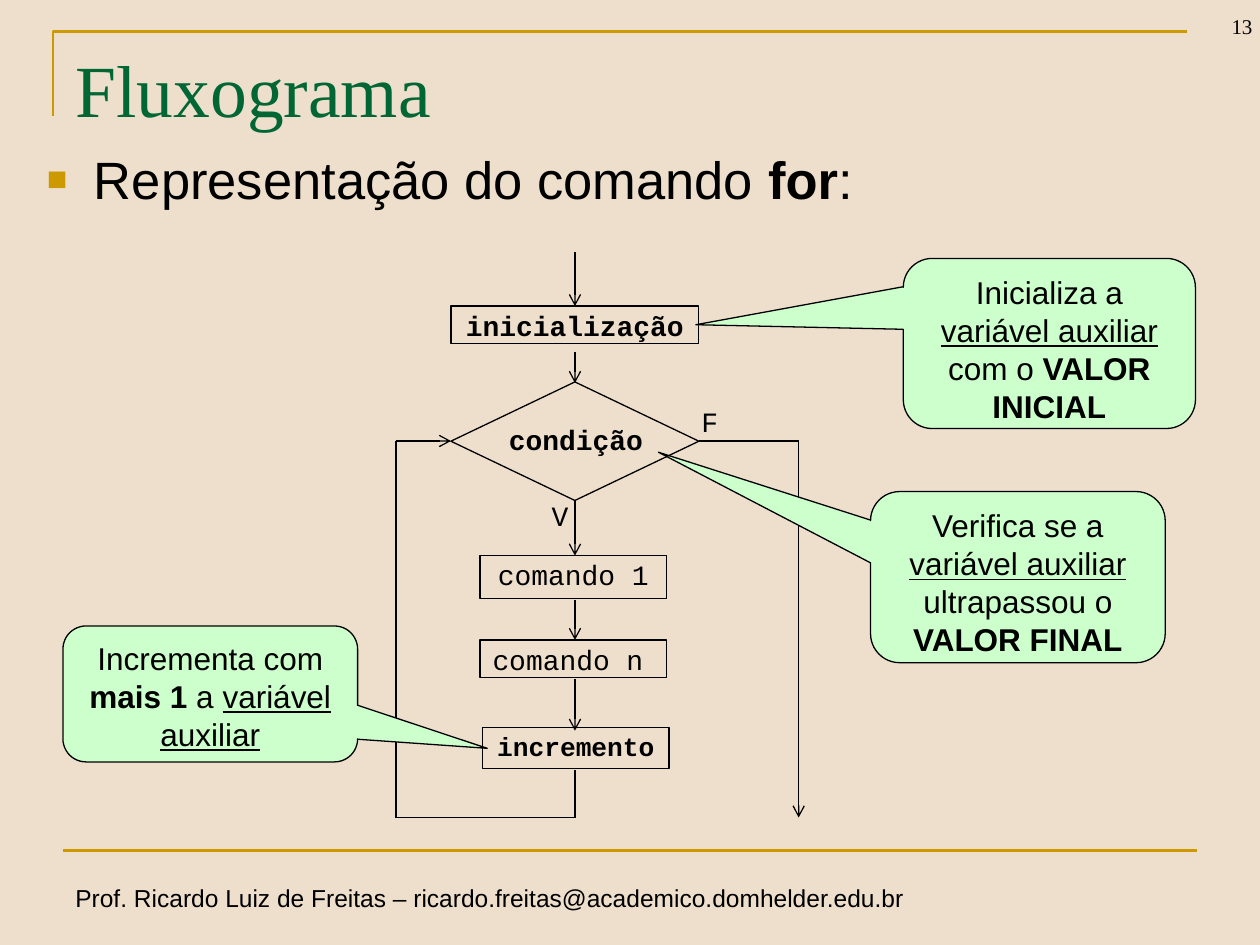
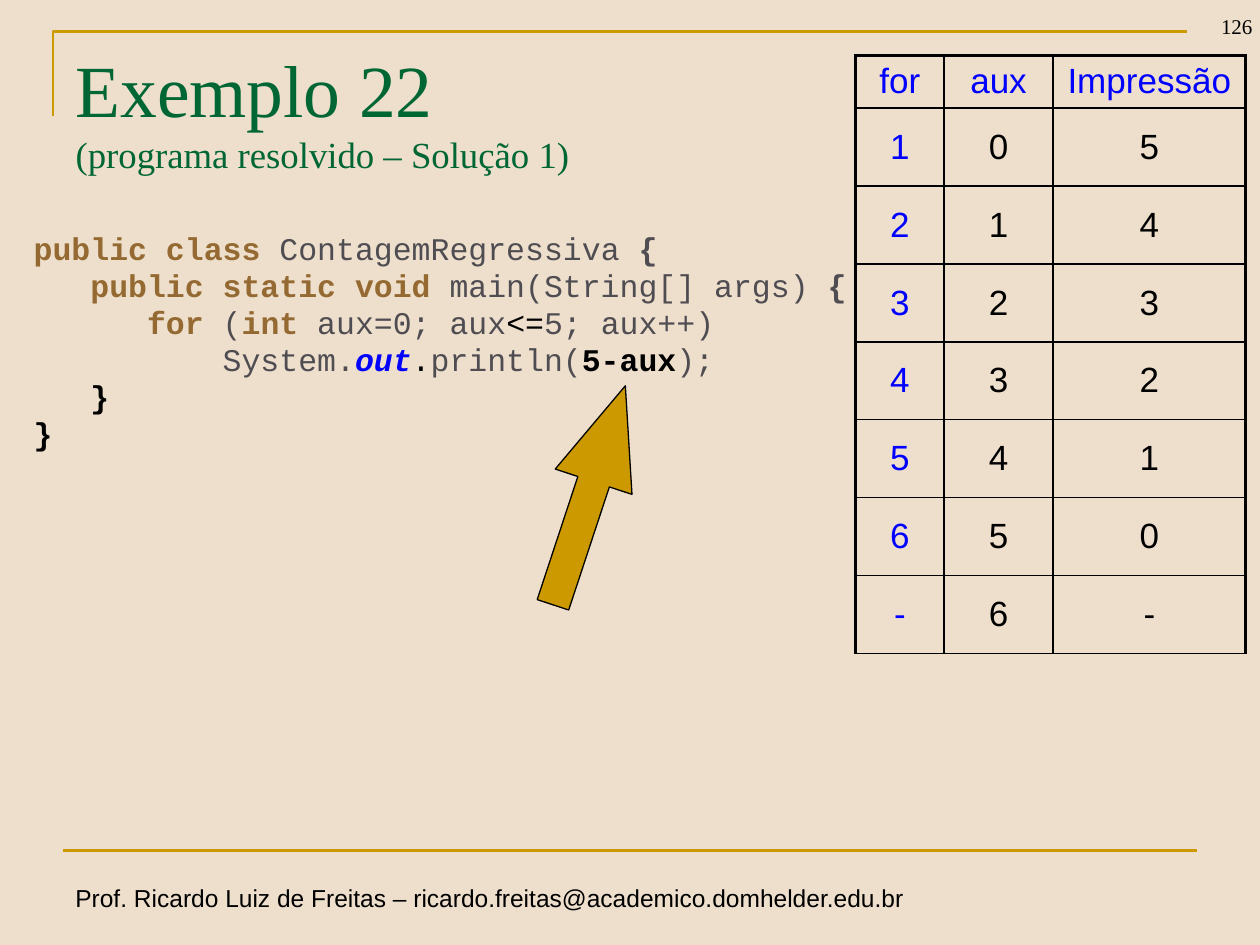
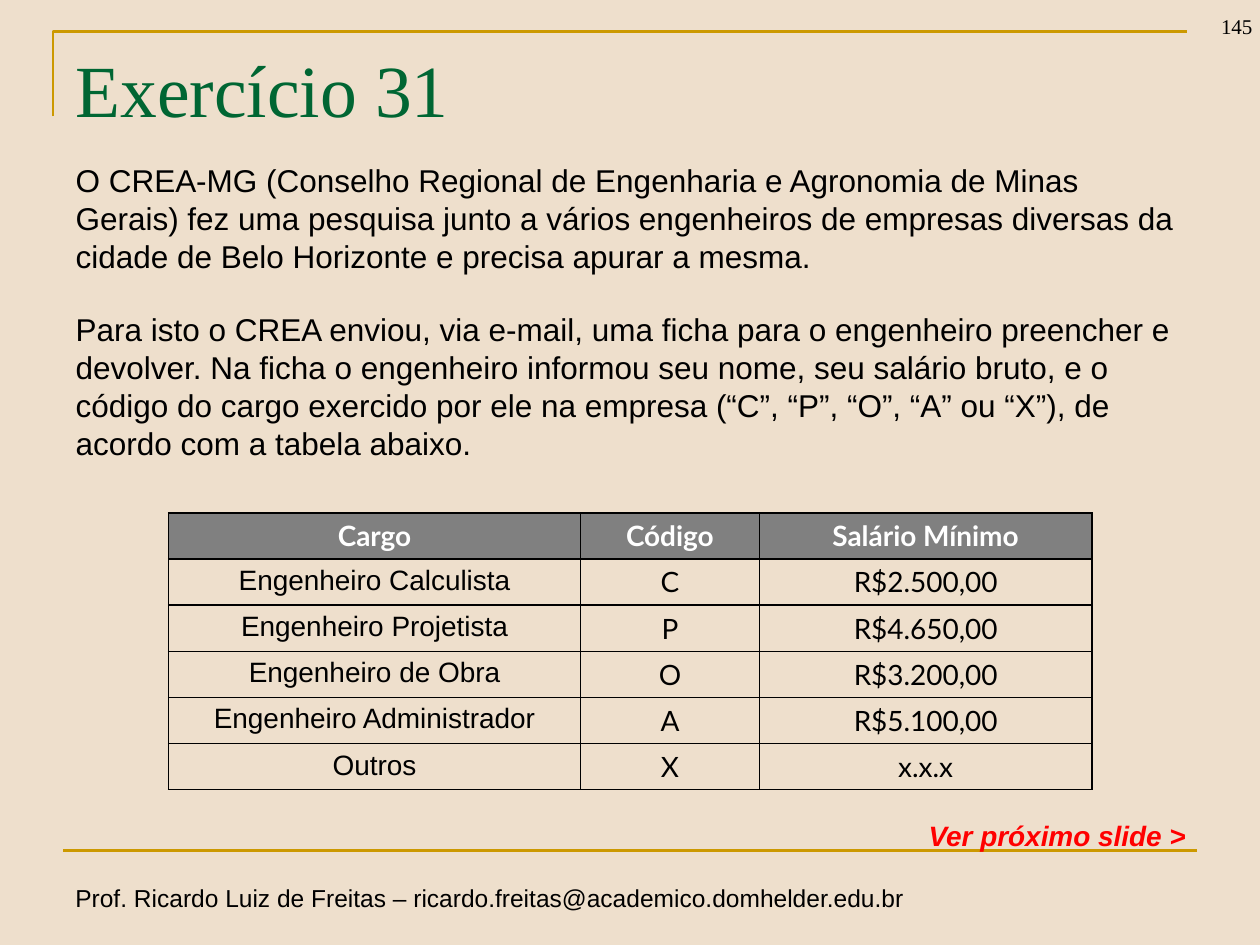
from itertools import accumulate

from lxml.etree import SubElement
from pptx import Presentation
from pptx.dml.color import RGBColor
from pptx.enum.shapes import MSO_CONNECTOR as Connector, MSO_SHAPE as Shape
from pptx.enum.text import MSO_ANCHOR as Anchor, MSO_AUTO_SIZE as AutoSize, PP_ALIGN as Align
from pptx.oxml.ns import qn
from pptx.util import Cm, Pt

# Shared style
SAND, GOLD, GREEN, MINT = "EEDFCC", "CC9900", "006633", "CCFFCC"
BLACK, WHITE, GRAY, BLUE, RED = "000000", "FFFFFF", "808080", "0000FF", "FF0000"
CODE_KEYWORD, CODE_TEXT = "946A32", "4F4D52"
SANS, SERIF, MONO, TABLE_FONT = "Arial", "Times New Roman", "Courier New", "Lato"
THIN, RULE, THICK = 0.75, 1.5, 2.25
FOOTER = "Prof. Ricardo Luiz de Freitas – ricardo.freitas@academico.domhelder.edu.br"
TITLE_AND_BODY, TITLE_ONLY = 1, 5


def color(hex_code):
    return RGBColor.from_string(hex_code)


# Text helpers
def style_font(font, size=None, name=None, hex_code=None, bold=None, italic=None, underline=None):
    if size:
        font.size = Pt(size)
    if name:
        font.name = name
    if hex_code:
        font.color.rgb = color(hex_code)
    font.bold, font.italic, font.underline = bold, italic, underline


def write(paragraph, runs, size, name=SANS, hex_code=BLACK, align=Align.LEFT, spacing=None, **style):
    """Runs are plain strings or (text, style) pairs."""
    paragraph.alignment = align
    paragraph.space_before = Pt(0)
    if spacing:
        paragraph.line_spacing = spacing
    style_font(paragraph.font, size, name, hex_code, **style)
    for item in [runs] if isinstance(runs, str) else runs:
        text, run_style = (item, {}) if isinstance(item, str) else item
        run = paragraph.add_run()
        run.text = text
        if run_style:
            style_font(run.font, **run_style)


def set_frame(shape, anchor=Anchor.TOP, wrap=True):
    frame = shape.text_frame
    frame.auto_size = AutoSize.NONE
    frame.word_wrap = wrap
    frame.vertical_anchor = anchor
    return frame


def move(shape, left, top, width, height):
    shape.left, shape.top = Cm(left), Cm(top)
    shape.width, shape.height = Cm(width), Cm(height)


def add_label(slide, box, runs, size, anchor=Anchor.TOP, wrap=True, **style):
    textbox = slide.shapes.add_textbox(*map(Cm, box))
    write(set_frame(textbox, anchor, wrap).paragraphs[0], runs, size, **style)


def set_bullet(paragraph, symbol=None, indent=0):
    properties = paragraph._p.get_or_add_pPr()
    properties.set("marL", str(Cm(indent)))
    properties.set("indent", str(-Cm(indent)))
    if symbol is None:
        SubElement(properties, qn("a:buNone"))
        return
    bullet_color = SubElement(properties, qn("a:buClr"))
    SubElement(bullet_color, qn("a:srgbClr"), val=GOLD)
    SubElement(properties, qn("a:buSzPct"), val="65000")
    SubElement(properties, qn("a:buFont"), typeface=SANS)
    SubElement(properties, qn("a:buChar"), char=symbol)


# Shape helpers
def add_box(slide, kind, box, fill=None, adjustments=()):
    shape = slide.shapes.add_shape(kind, *map(Cm, box))
    shape.shadow.inherit = False
    if fill:
        shape.fill.solid()
        shape.fill.fore_color.rgb = color(fill)
    else:
        shape.fill.background()
    shape.line.color.rgb = color(BLACK)
    shape.line.width = Pt(THIN)
    for index, value in enumerate(adjustments):
        shape.adjustments[index] = value
    return shape


def add_line(slide, start, end, hex_code=BLACK, width=THIN, arrow=False):
    line = slide.shapes.add_connector(Connector.STRAIGHT, *map(Cm, (*start, *end)))
    line.line.color.rgb = color(hex_code)
    line.line.width = Pt(width)
    if arrow:
        SubElement(line.line._get_or_add_ln(), qn("a:tailEnd"), type="arrow")
    SubElement(line._element.spPr, qn("a:effectLst"))


def set_borders(cell, widths):
    """Widths are in points, for left, right, top and bottom."""
    properties = cell._tc.get_or_add_tcPr()
    for index, (side, width) in enumerate(zip("LRTB", widths)):
        border = SubElement(properties, qn(f"a:ln{side}"), w=str(Pt(width)))
        fill = SubElement(border, qn("a:solidFill"))
        SubElement(fill, qn("a:srgbClr"), val=BLACK)
        properties.insert(index, border)


def add_table(slide, left, top, columns, heights, rows, style_cell):
    """style_cell(row, column) gives fill, anchor, border widths and text style."""
    frame = slide.shapes.add_table(len(rows), len(columns), Cm(left), Cm(top),
                                   Cm(sum(columns)), Cm(sum(heights)))
    table = frame.table
    table.first_row = table.horz_banding = False
    for column, width in zip(table.columns, columns):
        column.width = Cm(width)
    for row, height in zip(table.rows, heights):
        row.height = Cm(height)
    for row, values in enumerate(rows):
        for column, value in enumerate(values):
            cell = table.cell(row, column)
            fill, anchor, borders, style = style_cell(row, column)
            cell.vertical_anchor = anchor
            if fill:
                cell.fill.solid()
                cell.fill.fore_color.rgb = color(fill)
            else:
                cell.fill.background()
            set_borders(cell, borders)
            write(cell.text_frame.paragraphs[0], value, align=Align.CENTER, **style)


# Parts that every slide shares
def add_base_slide(presentation, layout, number, title, subtitle=None):
    slide = presentation.slides.add_slide(presentation.slide_layouts[layout])
    add_label(slide, (1.27, 17.68, 17.42, 0.86), FOOTER, 14, wrap=False)

    left, top, right, bottom = map(Cm, (1.07, 0.64, 23.93, 2.34))
    builder = slide.shapes.build_freeform(left, bottom)
    builder.add_line_segments([(left, top), (right, top)], close=False)
    bracket = builder.convert_to_shape()
    bracket.shadow.inherit = False
    bracket.fill.background()
    bracket.line.color.rgb = color(GOLD)
    bracket.line.width = Pt(RULE)
    add_line(slide, (1.27, 17.15), (24.13, 17.15), GOLD, RULE)

    add_label(slide, (23.6, -0.36, 1.9, 1.27), number, 12, Anchor.BOTTOM,
              name=SERIF, align=Align.RIGHT)

    heading = slide.shapes.title
    move(heading, 1.27, 0.76, 22.86, 3.18)
    paragraph = set_frame(heading).paragraphs[0]
    write(paragraph, title, 42, SERIF, GREEN)
    if subtitle:
        paragraph.add_line_break()
        run = paragraph.add_run()
        run.text = subtitle
        run.font.size = Pt(21)
    return slide


# Slide 1: flowchart of the for command
def add_flowchart(slide, left, top):
    def at(x, y):
        return left + x, top + y

    axis, right, bottom, loop = 3.61, 8.12, 11.4, 3.81
    code = {"name": MONO, "spacing": 0.9}

    # Steps
    steps = [
        ("inicialização", 1.11, 1.09, 5, 0.76, 16, True, Align.CENTER),
        ("comando 1", 1.7, 6.12, 3.76, 0.86, 16, None, Align.CENTER),
        ("comando n", 1.7, 7.82, 3.76, 0.76, 16, None, Align.LEFT),
        ("incremento", 1.75, 9.58, 3.76, 0.84, 15, True, Align.CENTER),
    ]
    for text, x, y, width, height, size, bold, align in steps:
        step = add_box(slide, Shape.RECTANGLE, (*at(x, y), width, height))
        write(set_frame(step).paragraphs[0], text, size, align=align, bold=bold, **code)

    # Decision and its labels
    add_box(slide, Shape.FLOWCHART_DECISION, (*at(1.11, 2.62), 5, 2.39))
    add_label(slide, (*at(2.03, 3.4), 3.4, 0.89), "condição", 16, bold=True, **code)
    for text, x, y in [("F", 5.91, 3.02), ("V", 2.89, 4.93)]:
        add_label(slide, (*at(x, y), 0.86, 0.89), text, 16, wrap=False, **code)

    # Arrows down the axis
    for start, end in [(0, 1.09), (2.01, 2.64), (5.01, 6.12), (7.01, 7.82), (8.61, 9.65)]:
        add_line(slide, at(axis, start), at(axis, end), arrow=True)

    # Way out on the right and way back on the left
    add_line(slide, at(6.11, loop), at(right, loop))
    add_line(slide, at(right, loop), at(right, bottom), arrow=True)
    add_line(slide, at(axis, 10.44), at(axis, bottom))
    add_line(slide, at(axis, bottom), at(0, bottom))
    add_line(slide, at(0, bottom), at(0, loop))
    add_line(slide, at(0, loop), at(1.11, loop), arrow=True)

    # Callouts
    bold, underline = {"bold": True}, {"underline": True}
    variable = ("variável auxiliar ", underline)
    callouts = [
        ((10.23, 0.13), (5.89, 3.43), (-1.21, -0.11, 0.17),
         ["Inicializa a ", variable, "com o ", ("VALOR INICIAL", bold)]),
        ((9.57, 4.83), (5.94, 3.45), (-1.22, -0.73, 0.17),
         ["Verifica se a ", variable, "ultrapassou o ", ("VALOR FINAL", bold)]),
        ((-6.71, 7.54), (5.94, 2.74), (0.94, 0.4, 0.17),
         ["Incrementa com ", ("mais 1", bold), " a ", ("variável auxiliar", underline)]),
    ]
    for corner, size, adjustments, runs in callouts:
        callout = add_box(slide, Shape.ROUNDED_RECTANGULAR_CALLOUT, (*at(*corner), *size),
                          MINT, adjustments)
        write(set_frame(callout).paragraphs[0], runs, 18, align=Align.CENTER, spacing=Pt(21.7))


def build_flowchart_slide(presentation):
    slide = add_base_slide(presentation, TITLE_AND_BODY, "13", "Fluxograma")
    body = slide.placeholders[1]
    move(body, 0.69, 2.84, 22.86, 2.29)
    paragraph = set_frame(body).paragraphs[0]
    set_bullet(paragraph, "■", 0.95)
    write(paragraph, ["Representação do comando ", ("for", {"bold": True}), ":"], 30)
    add_flowchart(slide, 7.98, 5.08)


# Slide 2: solved program and its trace
def add_code(slide, left, top):
    keyword = {"hex_code": CODE_KEYWORD, "bold": True}
    brace = {"hex_code": CODE_TEXT, "bold": True}
    black, strong = {"hex_code": BLACK}, {"hex_code": BLACK, "bold": True}
    field = {"hex_code": BLUE, "bold": True, "italic": True}
    lines = [
        [("public class ", keyword), "ContagemRegressiva ", ("{", brace)],
        [("   public static void ", keyword), "main(String[] args) ", ("{", brace)],
        [("      for ", keyword), "(", ("int ", keyword), "aux=0; aux", ("<=", black), "5; aux++)"],
        ["          System.", ("out", field), (".", black), "println(", ("5-aux", strong), ");"],
        [("   }", strong)],
        [("}", strong)],
    ]
    textbox = slide.shapes.add_textbox(Cm(left), Cm(top), Cm(22.86), Cm(4.9))
    frame = set_frame(textbox)
    for index, runs in enumerate(lines):
        paragraph = frame.add_paragraph() if index else frame.paragraphs[0]
        write(paragraph, runs, 18, MONO, CODE_TEXT, spacing=Pt(21.2))


def add_trace_table(slide, left, top):
    steps = 7
    rows = [("for", "aux", "Impressão")]
    for aux in range(steps):
        last = aux == steps - 1
        rows.append(("-" if last else str(aux + 1), str(aux), "-" if last else str(5 - aux)))

    def style_cell(row, column):
        borders = (THICK if column == 0 else 1, THICK if column == 2 else 1,
                   THICK if row == 0 else 1, 1)
        text_color = BLUE if row == 0 or column == 0 else BLACK
        anchor = Anchor.MIDDLE if row else Anchor.TOP
        return None, anchor, borders, {"size": 20, "hex_code": text_color}

    add_table(slide, left, top, (1.78, 2.2, 3.88), [1.06] + [1.57] * steps, rows, style_cell)


def build_example_slide(presentation):
    slide = add_base_slide(presentation, TITLE_ONLY, "126", "Exemplo 22",
                           "(programa resolvido – Solução 1)")
    add_code(slide, 0.43, 4.5)
    pointer = add_box(slide, Shape.LEFT_ARROW, (9.55, 9.17, 4.65, 1.63), GOLD, (0.41, 1.25))
    pointer.rotation = 108.3
    add_trace_table(slide, 17.25, 1.12)


# Slide 3: exercise text and salary table
def add_salary_table(slide, left, top):
    rows = [
        ("Cargo", "Código", "Salário Mínimo"),
        ("Engenheiro Calculista", "C", "R$2.500,00"),
        ("Engenheiro Projetista", "P", "R$4.650,00"),
        ("Engenheiro de Obra", "O", "R$3.200,00"),
        ("Engenheiro Administrador", "A", "R$5.100,00"),
        ("Outros", "X", "x.x.x"),
    ]

    def style_cell(row, column):
        if row == 0:
            fill, style = GRAY, {"name": TABLE_FONT, "hex_code": WHITE, "bold": True}
        else:
            fill, style = None, {"name": TABLE_FONT if column else SANS}
        return fill, Anchor.TOP, (1, 1, 1, 1), {"size": 16, **style}

    add_table(slide, left, top, (8.3, 3.61, 6.7), [0.93] * len(rows), rows, style_cell)


def build_exercise_slide(presentation):
    slide = add_base_slide(presentation, TITLE_AND_BODY, "145", "Exercício 31")
    body = slide.placeholders[1]
    move(body, 1.27, 3.12, 22.86, 7.01)
    frame = set_frame(body)
    texts = [
        "O CREA-MG (Conselho Regional de Engenharia e Agronomia de Minas Gerais) fez uma "
        "pesquisa junto a vários engenheiros de empresas diversas da cidade de Belo Horizonte "
        "e precisa apurar a mesma.",
        "Para isto o CREA enviou, via e-mail, uma ficha para o engenheiro preencher e devolver. "
        "Na ficha o engenheiro informou seu nome, seu salário bruto, e o código do cargo "
        "exercido por ele na empresa (“C”, “P”, “O”, “A” ou “X”), de acordo com a tabela abaixo.",
    ]
    for index, text in enumerate(texts):
        paragraph = frame.add_paragraph() if index else frame.paragraphs[0]
        set_bullet(paragraph)
        write(paragraph, text, 18, spacing=Pt(21.7))
        if index:
            paragraph.space_before = Pt(20)
    add_salary_table(slide, 3.4, 10.34)
    add_label(slide, (18.39, 16.46, 5.77, 0.86), "Ver próximo slide >", 16, wrap=False,
              hex_code=RED, align=Align.RIGHT, spacing=0.9, bold=True, italic=True)


def main():
    presentation = Presentation()
    presentation.slide_width, presentation.slide_height = Cm(25.4), Cm(19.05)
    background = presentation.slide_master.background.fill
    background.solid()
    background.fore_color.rgb = color(SAND)
    build_flowchart_slide(presentation)
    build_example_slide(presentation)
    build_exercise_slide(presentation)
    presentation.save("out.pptx")


if __name__ == "__main__":
    main()
